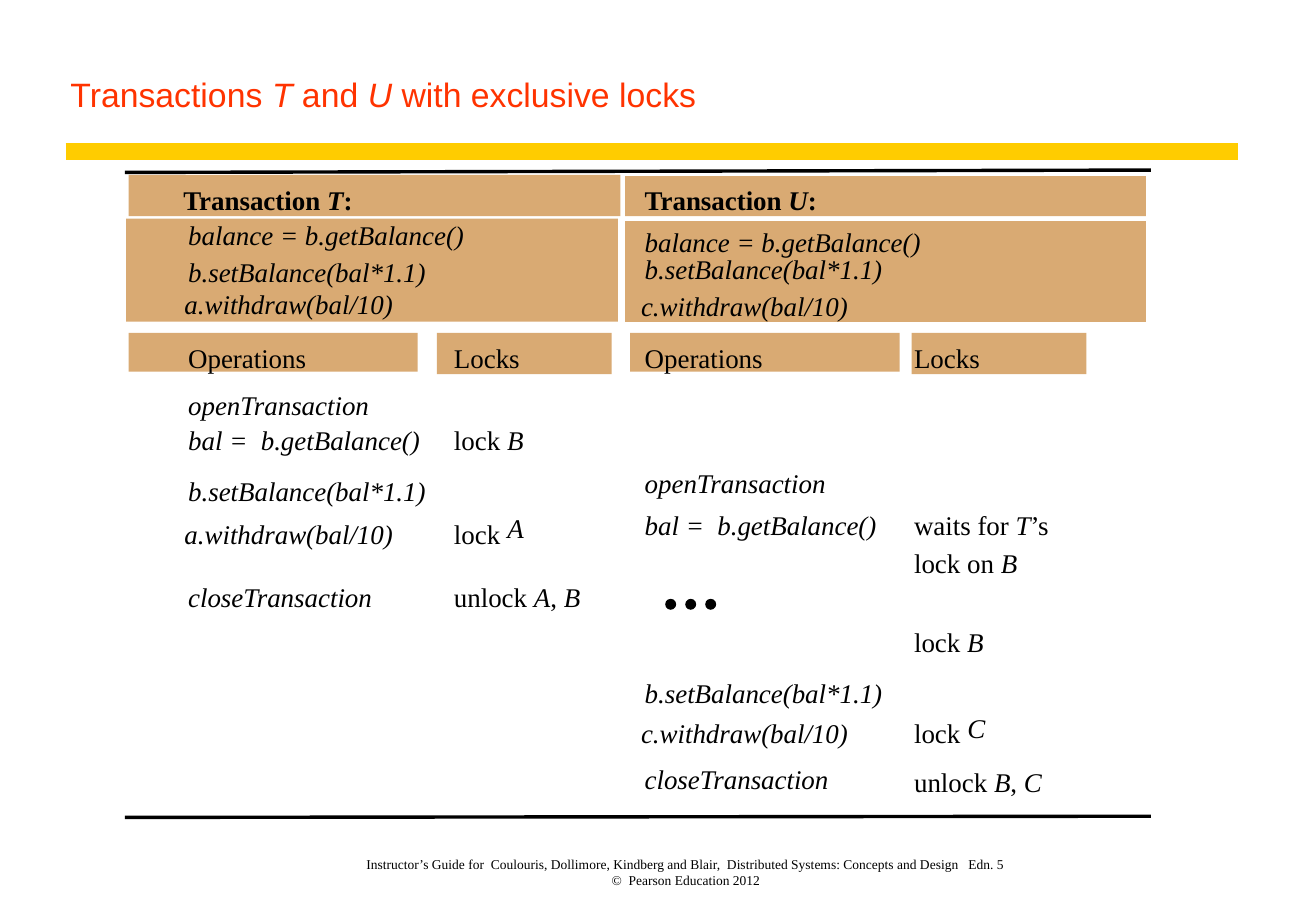
"""Draw the slide on transactions T and U with exclusive locks."""
from lxml import etree
from pptx import Presentation
from pptx.dml.color import RGBColor
from pptx.enum.shapes import MSO_CONNECTOR, MSO_SHAPE
from pptx.enum.text import MSO_ANCHOR, PP_ALIGN
from pptx.oxml.ns import qn
from pptx.util import Inches, Pt

RECT, OVAL, LINE = MSO_SHAPE.RECTANGLE, MSO_SHAPE.OVAL, MSO_CONNECTOR.STRAIGHT
LOW, TOP = MSO_ANCHOR.BOTTOM, MSO_ANCHOR.TOP
LEFT, MID = PP_ALIGN.LEFT, PP_ALIGN.CENTER
WIDE, HIGH = Inches(10.84), Inches(7.5)

THEME = {
    "ink": RGBColor(0, 0, 0),
    "tan": RGBColor(0xD9, 0xAA, 0x73),
    "gold": RGBColor(0xFF, 0xCC, 0),
    "red": RGBColor(0xFF, 0x33, 0),
    "title": {"name": "Arial", "size": Pt(20)},
    "head": {"name": "Times New Roman", "size": Pt(16), "bold": True},
    "body": {"name": "Times New Roman", "size": Pt(16)},
    "foot": {"name": "Times New Roman", "size": Pt(8)},
}

OPEN, CLOSE = "_openTransaction_", "_closeTransaction_"
READ, GET = "_balance = b.getBalance()_", "_bal =  b.getBalance()_"
SET = "_b.setBalance(bal*1.1)_"
TAKE_A, TAKE_C = "_a.withdraw(bal/10)_", "_c.withdraw(bal/10)_"
SHIFT, SPACE = -0.28, 4.06

PANELS = [
    (9.78, 19.2, 37.36, 4.53), (47.51, 19.33, 39.58, 4.4),
    (9.59, 24, 37.36, 11.33), (47.51, 24.27, 39.58, 11.07),
    (9.78, 36.53, 21.96, 4.27), (33.21, 36.53, 13.28, 4.53),
    (47.88, 36.53, 20.48, 4.27), (69.28, 36.53, 13.28, 4.53),
]
RULES = [
    (4.98, 16.67, 94.1, 16.67, "gold", 10),
    (9.5, 18.93, 87.45, 18.67, "ink", 2),
    (9.5, 89.73, 87.45, 89.6, "ink", 2),
]
HEADS = [(13.93, "Transaction _T_:"), (48.99, "Transaction _U_:")]
COLS = [
    (14.3, 22, [
        (24, READ), (28, SET), (31.6, TAKE_A), (37.47, "Operations"),
        (42.67, OPEN), (46.53, GET), (52.13, SET), (56.8, TAKE_A),
        (63.73, CLOSE)]),
    (34.5, 12.5, [
        (37.47, "Locks"), (46.53, "lock _B_"), (56.8, "lock"),
        (63.73, "unlock _A_, _B_")]),
    (48.99, 22, [
        (24.8, READ), (27.73, SET), (31.73, TAKE_C), (37.47, "Operations"),
        (51.2, OPEN), (55.87, GET), (74.27, SET), (78.67, TAKE_C),
        (83.73, CLOSE)]),
    (69.46, 16, [
        (37.47, "Locks"), (55.87, "waits for _T_’s"), (60, "lock on _B_"),
        (68.67, "lock _B_"), (78.67, "lock"), (84, "unlock _B_, _C_")]),
]
RAISED = [(34.5 + SPACE, 56.13, "_A_"), (69.46 + SPACE, 78.13, "_C_")]
DOTS, STEP = (50.55, 65.73, 0.83, 1.2), 1.52
FOOT = ("Instructor’s Guide for  Coulouris, Dollimore, Kindberg and Blair,  "
        "Distributed Systems: Concepts and Design   Edn. 5\n"
        "©  Pearson Education 2012")


def place(*box):
    """Turn percent shares of the slide into lengths."""
    return [int(part * side / 100) for part, side in zip(box, (WIDE, HIGH) * 2)]


def style(item, form):
    """Set each format value on the item."""
    for name, value in form.items():
        setattr(item, name, value)


def write(frame, text, font, tint="ink", align=LEFT, anchor=TOP, pad=(0, 0, 0, 0)):
    """Fill a frame with text, where underscores enclose italics."""
    left, top, right, base = map(Inches, pad)
    style(frame, {"word_wrap": True, "vertical_anchor": anchor,
                  "margin_left": left, "margin_top": top,
                  "margin_right": right, "margin_bottom": base})
    para = frame.paragraphs[0]
    para.alignment = align
    for row, line in enumerate(text.split("\n")):
        if row:
            para.add_line_break()
        for turn, part in enumerate(line.split("_")):
            if part:
                run = para.add_run()
                run.text = part
                style(run.font, {**THEME[font], "italic": turn % 2 == 1})
                run.font.color.rgb = THEME[tint]


def label(slide, box, text, font="body", **form):
    """Add a text box."""
    write(slide.shapes.add_textbox(*place(*box)).text_frame, text, font, **form)


def block(slide, kind, box, tint):
    """Add a plain filled shape."""
    shape = slide.shapes.add_shape(kind, *place(*box))
    shape.shadow.inherit = False
    shape.fill.solid()
    shape.fill.fore_color.rgb = THEME[tint]
    shape.line.fill.background()


def rule(slide, ends, tint, width):
    """Add a straight line."""
    line = slide.shapes.add_connector(LINE, *place(*ends))
    line.line.color.rgb = THEME[tint]
    line.line.width = Pt(width)
    etree.SubElement(line._element.spPr, qn("a:effectLst"))


def heading(slide, text):
    """Fill the title placeholder."""
    title = slide.shapes.title
    left, top, width, height = place(4.43, 0, 89.67, 13.33)
    style(title, {"left": left, "top": top, "width": width, "height": height})
    write(title.text_frame, text, "title", "red", anchor=LOW,
          pad=(0.1, 0.06, 0.14, 0.06))


def main():
    """Build and save the slide."""
    deck = Presentation()
    style(deck, {"slide_width": WIDE, "slide_height": HIGH})
    slide = deck.slides.add_slide(deck.slide_layouts[5])
    heading(slide, "Transactions _T_ and _U_ with exclusive locks")
    for box in PANELS:
        block(slide, RECT, box, "tan")
    for *ends, tint, width in RULES:
        rule(slide, ends, tint, width)
    for left, text in HEADS:
        label(slide, (left, 20.13, 22, 3.6), text, "head")
    for left, width, rows in COLS:
        for top, text in rows:
            edge = left + SHIFT * (text in (TAKE_A, TAKE_C))
            label(slide, (edge, top, width, 3.6), text)
    for left, top, text in RAISED:
        label(slide, (left, top, 3, 3.6), text)
    left, *rest = DOTS
    for turn in range(3):
        block(slide, OVAL, (left + turn * STEP, *rest), "ink")
    label(slide, (21.68, 92.27, 60.89, 5.2), FOOT, "foot", align=MID, anchor=LOW)
    deck.save("out.pptx")


if __name__ == "__main__":
    main()
